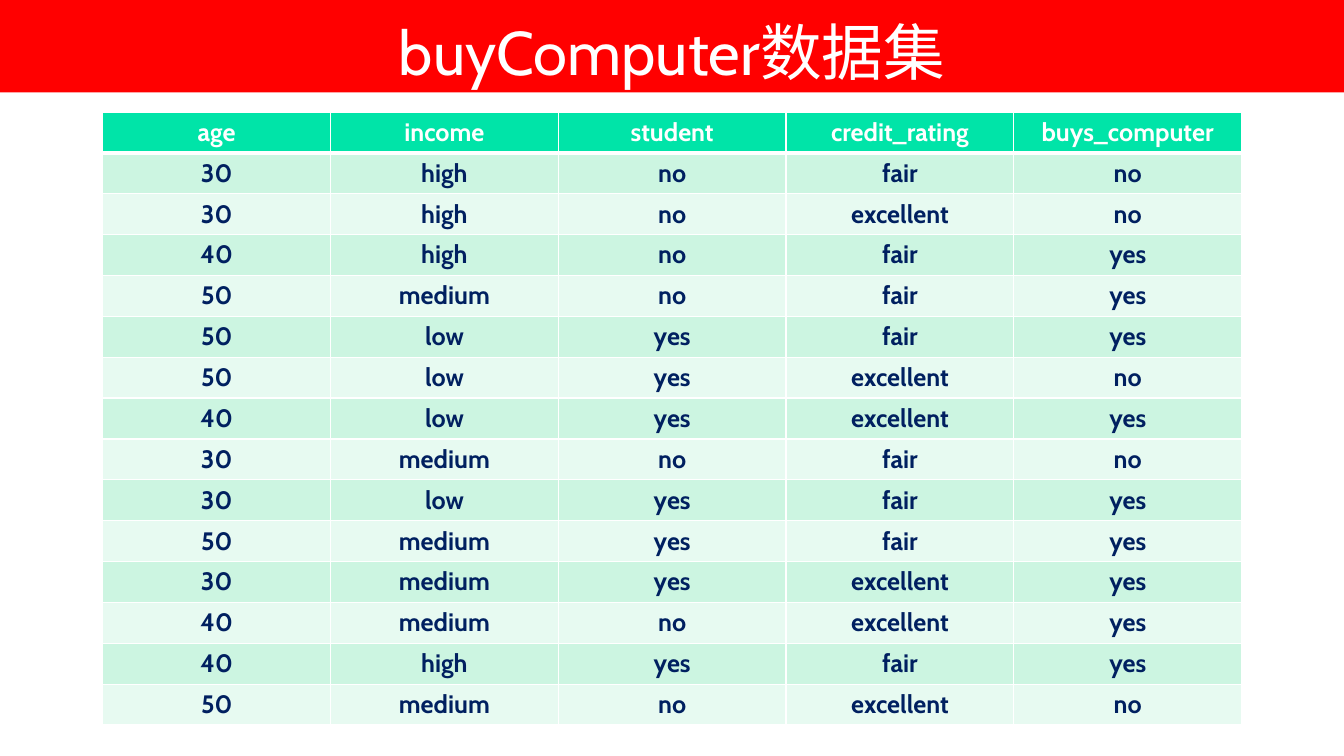
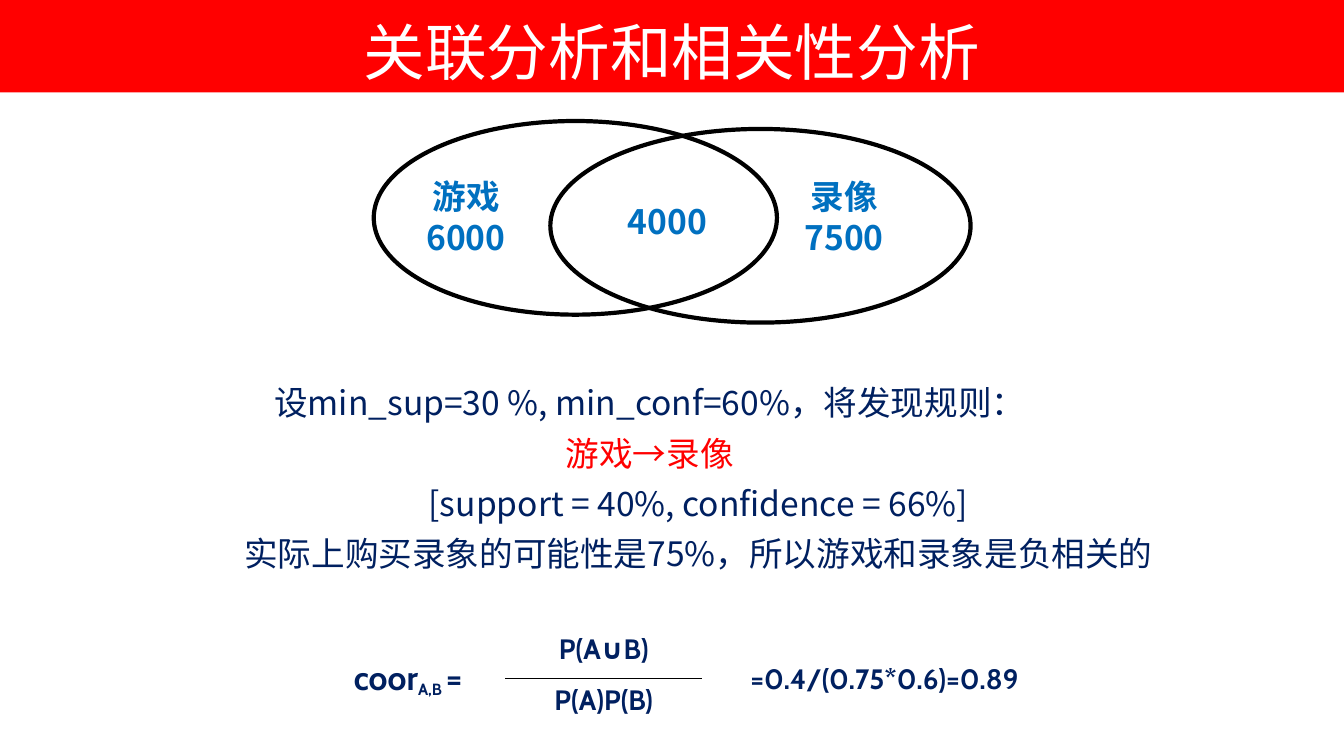
"""Build two slides on a purchase data set and on correlation analysis."""
from lxml.etree import SubElement
from pptx import Presentation
from pptx.dml.color import RGBColor
from pptx.enum.shapes import MSO_SHAPE as Shape
from pptx.enum.text import MSO_ANCHOR as Anchor, MSO_AUTO_SIZE as AutoSize, PP_ALIGN as Align
from pptx.oxml.ns import qn
from pptx.util import Cm, Pt

WHITE = RGBColor(0xFF, 0xFF, 0xFF)
BLACK = RGBColor(0x00, 0x00, 0x00)
RED = RGBColor(0xFF, 0x00, 0x00)
NAVY = RGBColor(0x00, 0x20, 0x60)
BLUE = RGBColor(0x00, 0x70, 0xC0)
GREEN = RGBColor(0x00, 0xE4, 0xA8)
MINT = RGBColor(0xCC, 0xF5, 0xE1)
PALE_MINT = RGBColor(0xE7, 0xFA, 0xF1)
LATIN_FONT = "Cabin"
CHINESE_FONT = "Noto Sans CJK JP"

SLIDE_WIDTH, SLIDE_HEIGHT, BAND_HEIGHT = Cm(33.87), Cm(19.05), Cm(2.33)

DATASET_TITLE = "buyComputer数据集"
HEADINGS = ("age", "income", "student", "credit_rating", "buys_computer")
RECORDS = [
    ("30", "high", "no", "fair", "no"),
    ("30", "high", "no", "excellent", "no"),
    ("40", "high", "no", "fair", "yes"),
    ("50", "medium", "no", "fair", "yes"),
    ("50", "low", "yes", "fair", "yes"),
    ("50", "low", "yes", "excellent", "no"),
    ("40", "low", "yes", "excellent", "yes"),
    ("30", "medium", "no", "fair", "no"),
    ("30", "low", "yes", "fair", "yes"),
    ("50", "medium", "yes", "fair", "yes"),
    ("30", "medium", "yes", "excellent", "yes"),
    ("40", "medium", "no", "excellent", "yes"),
    ("40", "high", "yes", "fair", "yes"),
    ("50", "medium", "no", "excellent", "no"),
]

CORRELATION_TITLE = "关联分析和相关性分析"
VENN_SETS = [(9.42, 3.05, 10.16, 4.88), (13.87, 3.25, 10.59, 4.88)]
VENN_LABELS = [
    (("游戏", "6000"), (10.26, 4.32, 2.97, 2.31)),
    (("录像7500",), (19.79, 4.32, 2.97, 2.31)),
    (("4000",), (15.34, 4.95, 2.97, 1.27)),
]
RULE_LINES = [
    ("设min_sup=30 %, min_conf=60%，将发现规则：", NAVY, 0),
    ("游戏→录像", RED, 0),
    ("[support = 40%, confidence = 66%]", NAVY, 2.45),
    ("实际上购买录象的可能性是75%，所以游戏和录象是负相关的", NAVY, 2.45),
]
FORMULA_COLUMNS = (4.93, 4.93, 9.22)
FORMULA_ROWS = (1.27, 1.24)
FORMULA_PARTS = [
    (0, 0, [("coor", 24, 0), ("A,B ", 20, -18), ("=", 24, 0)], Anchor.MIDDLE),
    (0, 1, [("P(A∪B)", 20, 0)], Anchor.TOP),
    (1, 1, [("P(A)P(B)", 20, 0)], Anchor.TOP),
    (0, 2, [("=0.4/(0.75*0.6)=0.89", 20, 0)], Anchor.MIDDLE),
]


def add_run(paragraph, text, size, color, bold=False, font=LATIN_FONT, baseline=0):
    paragraph.alignment = Align.CENTER
    run = paragraph.add_run()
    run.text = text
    run.font.size, run.font.bold, run.font.name = Pt(size), bold, font
    run.font.color.rgb = color
    properties = run.font._element
    SubElement(properties, qn("a:ea")).set("typeface", CHINESE_FONT)
    if baseline:
        properties.set("baseline", str(baseline * 1000))


def add_titled_slide(deck, heading):
    slide = deck.slides.add_slide(deck.slide_layouts[5])
    title = slide.shapes.title
    title.left, title.top, title.width, title.height = 0, 0, SLIDE_WIDTH, BAND_HEIGHT
    title.fill.solid()
    title.fill.fore_color.rgb = RED
    frame = title.text_frame
    frame.auto_size = AutoSize.NONE
    frame.vertical_anchor = Anchor.BOTTOM
    add_run(frame.paragraphs[0], heading, 44, WHITE)
    return slide


def add_lines(slide, place, lines, color, bold=False, spacing=None):
    frame = slide.shapes.add_textbox(*map(Cm, place)).text_frame
    frame.word_wrap = True
    for number, (text, line_color, indent) in enumerate(lines):
        paragraph = frame.add_paragraph() if number else frame.paragraphs[0]
        paragraph.line_spacing = spacing
        add_run(paragraph, text, 24, line_color or color, bold, CHINESE_FONT)
        if indent:
            paragraph._p.get_or_add_pPr().set("marL", str(Cm(indent)))


def add_border(cell, side, color, width):
    line = SubElement(cell._tc.get_or_add_tcPr(), qn(f"a:ln{side}"), w=str(Pt(width)))
    SubElement(SubElement(line, qn("a:solidFill")), qn("a:srgbClr"), val=str(color))


def add_plain_table(slide, left, top, widths, heights):
    table = slide.shapes.add_table(
        len(heights), len(widths), Cm(left), Cm(top), Cm(sum(widths)), Cm(sum(heights))
    ).table
    table.first_row = table.horz_banding = False
    for column, width in zip(table.columns, widths):
        column.width = Cm(width)
    for row, height in zip(table.rows, heights):
        row.height = Cm(height)
    return table


def build_dataset(deck):
    slide = add_titled_slide(deck, DATASET_TITLE)
    rows = [HEADINGS, *RECORDS]
    table = add_plain_table(slide, 2.59, 2.82, [5.74] * len(HEADINGS), [1.03] * len(rows))
    for r, row in enumerate(rows):
        fill = (MINT if r % 2 else PALE_MINT) if r else GREEN
        for c, value in enumerate(row):
            cell = table.cell(r, c)
            cell.vertical_anchor = Anchor.MIDDLE
            add_run(cell.text_frame.paragraphs[0], value, 18, NAVY if r else WHITE, True)
            for side in "LRTB":
                heavy = (r, side) in ((0, "B"), (1, "T"))
                add_border(cell, side, WHITE, 3 if heavy else 1)
            cell.fill.solid()
            cell.fill.fore_color.rgb = fill


def build_formula(slide):
    formula = add_plain_table(slide, 7.82, 15.82, FORMULA_COLUMNS, FORMULA_ROWS)
    for c in (0, 2):
        formula.cell(0, c).merge(formula.cell(1, c))
    for r, side in enumerate("BT"):
        add_border(formula.cell(r, 1), side, BLACK, 1)
    for cell in formula.iter_cells():
        cell.fill.background()
    for r, c, pieces, anchor in FORMULA_PARTS:
        cell = formula.cell(r, c)
        cell.vertical_anchor = anchor
        paragraph = cell.text_frame.paragraphs[0]
        paragraph.space_before = Pt(4)
        for text, size, baseline in pieces:
            add_run(paragraph, text, size, NAVY, True, baseline=baseline)


def build_correlation(deck):
    slide = add_titled_slide(deck, CORRELATION_TITLE)
    add_lines(slide, (2.72, 9.25, 27.31, 5.31), RULE_LINES, NAVY, spacing=1.25)
    for place in VENN_SETS:
        venn_set = slide.shapes.add_shape(Shape.OVAL, *map(Cm, place))
        venn_set.shadow.inherit = False
        venn_set.fill.background()
        venn_set.line.color.rgb = BLACK
        venn_set.line.width = Pt(3)
    for texts, place in VENN_LABELS:
        add_lines(slide, place, [(text, BLUE, 0) for text in texts], BLUE, bold=True)
    build_formula(slide)


def main():
    deck = Presentation()
    deck.slide_width, deck.slide_height = SLIDE_WIDTH, SLIDE_HEIGHT
    build_dataset(deck)
    build_correlation(deck)
    deck.save("out.pptx")


if __name__ == "__main__":
    main()
